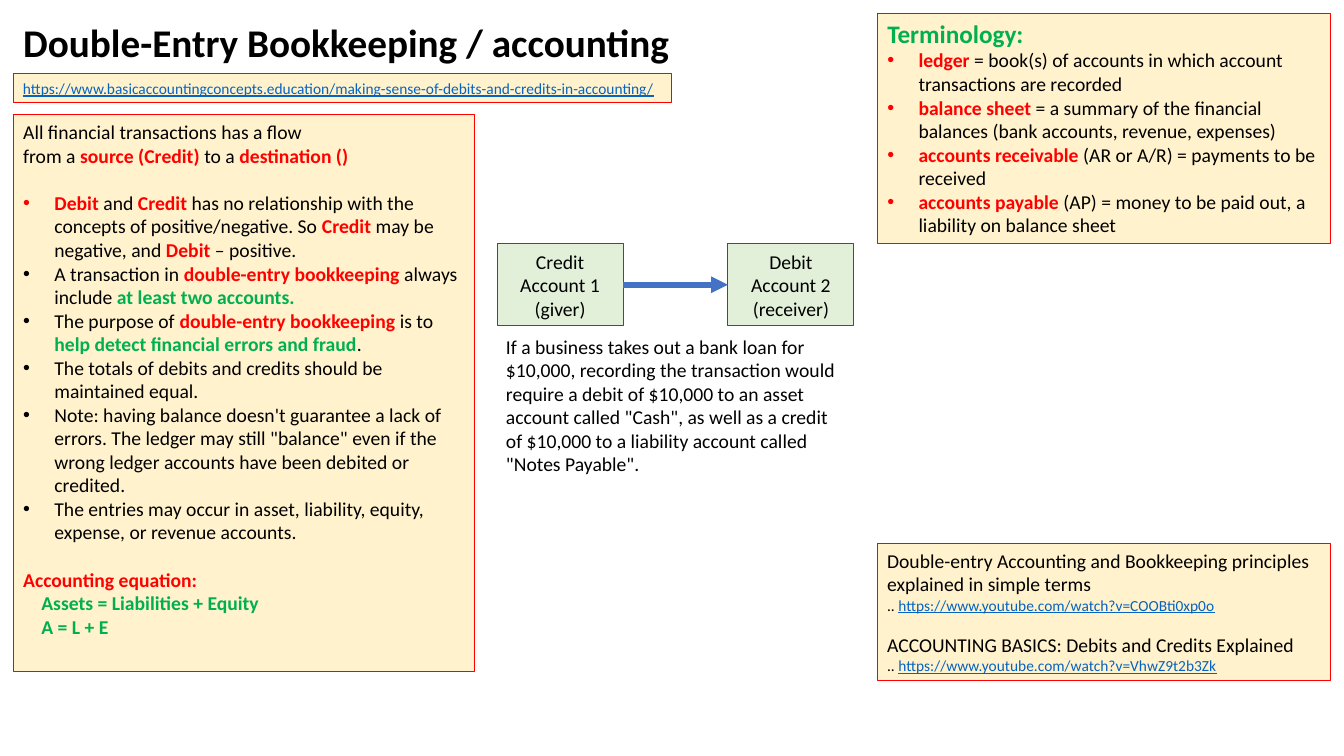
from lxml import etree
from pptx import Presentation
from pptx.dml.color import RGBColor
from pptx.enum.shapes import MSO_CONNECTOR, MSO_SHAPE
from pptx.enum.text import MSO_ANCHOR, MSO_AUTO_SIZE, PP_ALIGN
from pptx.oxml.ns import qn
from pptx.util import Inches, Pt

LEFT, CENTER = PP_ALIGN.LEFT, PP_ALIGN.CENTER
TOP, MIDDLE = MSO_ANCHOR.TOP, MSO_ANCHOR.MIDDLE
RECTANGLE, STRAIGHT = MSO_SHAPE.RECTANGLE, MSO_CONNECTOR.STRAIGHT
NO_AUTOFIT = MSO_AUTO_SIZE.NONE

TWO_CONTENT_LAYOUT = 3
RIGHT_SIDE, LEFT_SIDE = 3, 1
COLORS = {"black": "000000", "red": "FF0000", "green": "00B050", "link": "0563C1",
          "cream": "FFF2CC", "mint": "E2F0D9", "arrow": "4472C4"}


def line(*parts, size=14, bullet=False, before=0, indent=0):
    """Describe a paragraph; a part is plain text or a (text, color) pair."""
    return {"parts": parts, "size": size, "bullet": bullet, "before": before, "indent": indent}


def bullet(*parts):
    return line(*parts, bullet=True)


class BookkeepingSlide:
    """Holds the style and the slide being built."""
    font = "Calibri"
    border = 0.75
    bullet_indent = 0.31

    def __init__(self, presentation):
        self.slide = presentation.slides.add_slide(presentation.slide_layouts[TWO_CONTENT_LAYOUT])

    def color(self, name):
        return RGBColor.from_string(COLORS[name])

    def place(self, shape, left, top, width, height):
        shape.left, shape.top = Inches(left), Inches(top)
        shape.width, shape.height = Inches(width), Inches(height)

    def paint(self, shape, fill):
        shape.shadow.inherit = False
        shape.fill.solid()
        shape.fill.fore_color.rgb = self.color(fill)
        shape.line.color.rgb = self.color("red")
        shape.line.width = Pt(self.border)

    def set_bullet(self, paragraph, is_bullet, indent):
        properties = paragraph._p.get_or_add_pPr()
        hanging = self.bullet_indent if is_bullet else 0
        properties.set("marL", str(Inches(hanging or indent)))
        properties.set("indent", str(-Inches(hanging)))
        if is_bullet:
            etree.SubElement(properties, qn("a:buFont"), typeface="Arial")
            etree.SubElement(properties, qn("a:buChar"), char="•")
        else:
            etree.SubElement(properties, qn("a:buNone"))

    def set_lines(self, shape, lines, alignment=LEFT, anchor=TOP):
        frame = shape.text_frame
        frame.word_wrap = True
        frame.auto_size = NO_AUTOFIT
        frame.vertical_anchor = anchor
        for index, item in enumerate(lines):
            paragraph = frame.add_paragraph() if index else frame.paragraphs[0]
            self.set_bullet(paragraph, item["bullet"], item["indent"])
            paragraph.alignment = alignment
            paragraph.space_before = Pt(item["before"])
            for part in item["parts"]:
                text, color = (part, "black") if isinstance(part, str) else part
                run = paragraph.add_run()
                run.text = text
                run.font.name = self.font
                run.font.size = Pt(item["size"])
                run.font.color.rgb = self.color(color)
                run.font.bold = color in ("red", "green")
                run.font.underline = color == "link"

    def title(self, text, *bounds):
        shape = self.slide.shapes.title
        self.place(shape, *bounds)
        self.set_lines(shape, [line(text, size=28)], anchor=MIDDLE)
        shape.text_frame.paragraphs[0].runs[0].font.bold = True

    def list_box(self, placeholder_index, lines, *bounds):
        shape = self.slide.placeholders[placeholder_index]
        self.place(shape, *bounds)
        self.paint(shape, "cream")
        self.set_lines(shape, lines)

    def box(self, lines, *bounds, fill="cream", alignment=LEFT):
        shape = self.slide.shapes.add_shape(RECTANGLE, *map(Inches, bounds))
        self.paint(shape, fill)
        self.set_lines(shape, lines, alignment, MIDDLE)
        return shape

    def text(self, lines, *bounds):
        self.set_lines(self.slide.shapes.add_textbox(*map(Inches, bounds)), lines)

    def arrow(self, source, target):
        connector = self.slide.shapes.add_connector(STRAIGHT, 0, 0, 0, 0)
        connector.begin_connect(source, RIGHT_SIDE)
        connector.end_connect(target, LEFT_SIDE)
        connector.line.color.rgb = self.color("arrow")
        connector.line.width = Pt(4)
        properties = connector._element.spPr
        etree.SubElement(properties.find(qn("a:ln")), qn("a:tailEnd"), type="triangle")
        etree.SubElement(properties, qn("a:effectLst"))


def main():
    presentation = Presentation()
    presentation.slide_width, presentation.slide_height = Inches(13.33), Inches(7.5)
    page = BookkeepingSlide(presentation)

    page.title("Double-Entry Bookkeeping / accounting", 0.13, 0.13, 7.16, 0.57)
    page.box([line(("https://www.basicaccountingconcepts.education/"
                    "making-sense-of-debits-and-credits-in-accounting/", "link"), size=11)],
             0.13, 0.73, 6.53, 0.29)

    debit, credit = ("Debit", "red"), ("Credit", "red")
    double_entry = ("double-entry bookkeeping ", "red")
    principles = [
        line("All financial transactions has a flow"),
        line("from a ", ("source (Credit) ", "red"), "to a ", ("destination ()", "red")),
        bullet(debit, " and ", credit, " has no relationship with the concepts of "
               "positive/negative. So ", credit, " may be negative, and ", debit, " – positive."),
        bullet("A transaction in ", double_entry, "always include ",
               ("at least two accounts.", "green")),
        bullet("The purpose of ", double_entry, "is to ",
               ("help detect financial errors and fraud", "green"), "."),
        bullet("The totals of debits and credits should be maintained equal."),
        bullet("Note: having balance doesn't guarantee a lack of errors. The ledger may still "
               "\"balance\" even if the wrong ledger accounts have been debited or credited."),
        bullet("The entries may occur in asset, liability, equity, expense, or revenue accounts."),
        line(("Accounting equation:", "red"), before=17),
        line(("Assets = Liabilities + Equity", "green"), indent=0.18),
        line(("A = L + E", "green"), indent=0.18),
    ]
    principles[2]["before"] = 17
    page.list_box(1, principles, 0.13, 1.14, 4.58, 5.52)

    terms = [
        ("ledger", " = book(s) of accounts in which account transactions are recorded"),
        ("balance sheet",
         " = a summary of the financial balances (bank accounts, revenue, expenses)"),
        ("accounts receivable", " (AR or A/R) = payments to be received"),
        ("accounts payable", " (AP) = money to be paid out, a liability on balance sheet"),
    ]
    terminology = [line(("Terminology:", "green"), size=18)]
    terminology += [bullet((term, "red"), meaning) for term, meaning in terms]
    page.list_box(2, terminology, 8.7, 0.13, 4.5, 2.29)

    giver, receiver = [
        page.box([line(side), line(account), line(role)], left, 2.42, 1.25, 0.81,
                 fill="mint", alignment=CENTER)
        for left, side, account, role in [(4.93, "Credit", "Account 1", "(giver)"),
                                          (7.22, "Debit", "Account 2", "(receiver)")]]
    page.arrow(giver, receiver)
    page.text([line("If a business takes out a bank loan for $10,000, recording the transaction "
                    "would require a debit of $10,000 to an asset account called \"Cash\", as well "
                    "as a credit of $10,000 to a liability account called \"Notes Payable\".")],
              4.92, 3.27, 3.52, 1.51)

    videos = [
        ("Double-entry Accounting and Bookkeeping principles explained in simple terms",
         "https://www.youtube.com/watch?v=COOBti0xp0o", 0),
        ("ACCOUNTING BASICS: Debits and Credits Explained",
         "https://www.youtube.com/watch?v=VhwZ9t2b3Zk", 13.4),
    ]
    video_lines = []
    for name, address, gap in videos:
        video_lines += [line(name, before=gap), line(".. ", (address, "link"), size=11)]
    page.box(video_lines, 8.7, 5.39, 4.5, 1.36)

    presentation.save("out.pptx")


if __name__ == "__main__":
    main()
